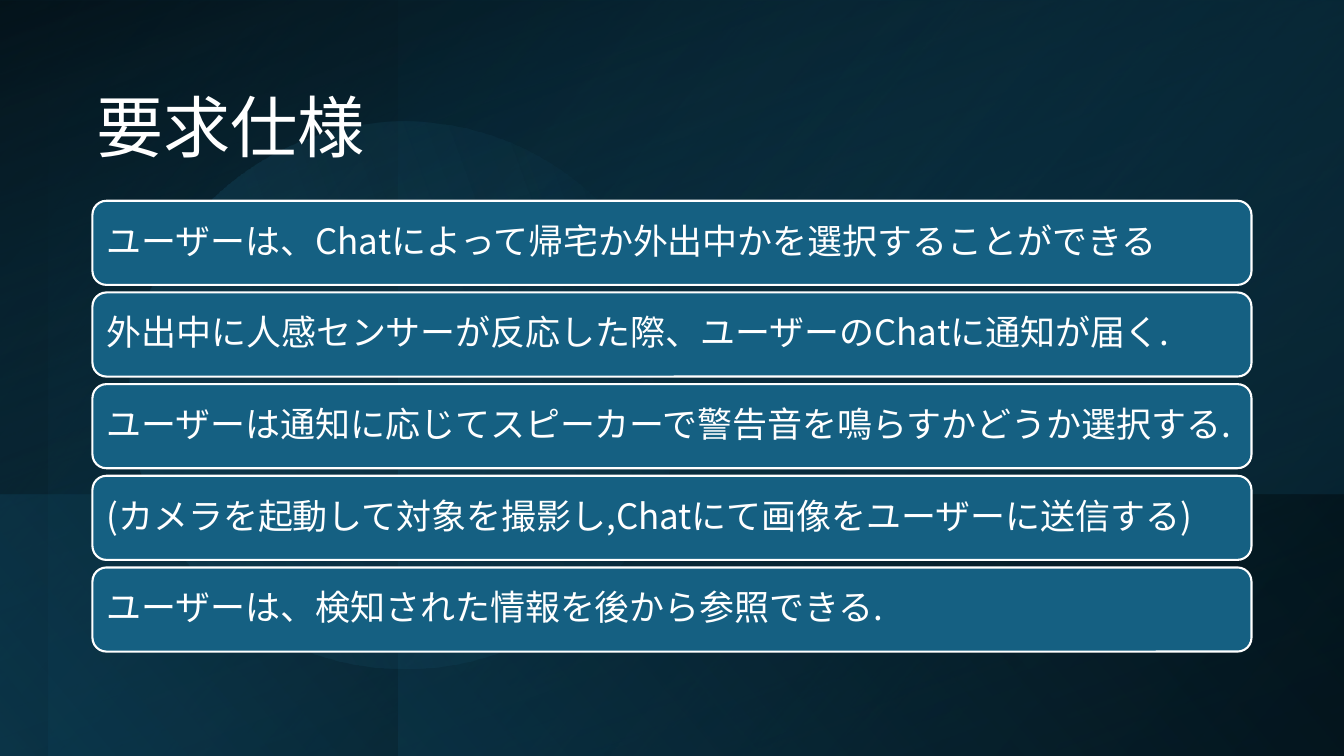
from lxml import etree
from pptx import Presentation
from pptx.dml.color import RGBColor
from pptx.enum.shapes import MSO_SHAPE
from pptx.enum.text import MSO_ANCHOR, PP_ALIGN
from pptx.oxml.ns import qn
from pptx.util import Cm, Pt

RECTANGLE = MSO_SHAPE.RECTANGLE
ELLIPSE = MSO_SHAPE.OVAL
ROUNDED = MSO_SHAPE.ROUNDED_RECTANGLE
BOTTOM = MSO_ANCHOR.BOTTOM
MIDDLE = MSO_ANCHOR.MIDDLE
LEFT = PP_ALIGN.LEFT

FONT = "Noto Sans CJK JP"
WHITE = "FFFFFF"
BLACK = "000000"
BLUE = "156082"
DEEP_BLUE = "104862"
NAVY = "0B3041"
SKY = "46B1E1"

REQUIREMENTS = [
    "ユーザーは、Chatによって帰宅か外出中かを選択することができる",
    "外出中に人感センサーが反応した際、ユーザーのChatに通知が届く.",
    "ユーザーは通知に応じてスピーカーで警告音を鳴らすかどうか選択する.",
    "(カメラを起動して対象を撮影し,Chatにて画像をユーザーに送信する)",
    "ユーザーは、検知された情報を後から参照できる.",
]
CARD_LEFT, CARD_TOP = 2.33, 5.06
CARD_WIDTH, CARD_HEIGHT = 29.21, 2.12
CARD_PITCH = 2.31


def color(value):
    return RGBColor.from_string(value)


def add_text(shape, text, size=25, anchor=MIDDLE, inset=0.25):
    frame = shape.text_frame
    frame.word_wrap = True
    frame.vertical_anchor = anchor
    frame.margin_left = frame.margin_right = Cm(inset)
    frame.margin_top = frame.margin_bottom = Cm(0.13)
    paragraph = frame.paragraphs[0]
    paragraph.alignment = LEFT
    paragraph.line_spacing = 0.9
    run = paragraph.add_run()
    run.text = text
    run.font.size = Pt(size)
    run.font.name = FONT
    run.font.color.rgb = color(WHITE)
    etree.SubElement(run.font._element, qn("a:ea"), typeface=FONT)


def add_plain_shape(slide, kind, box):
    shape = slide.shapes.add_shape(kind, *[Cm(length) for length in box])
    shape.shadow.inherit = False
    return shape


def set_gradient(shape, stops, angle):
    shape.fill.gradient()
    gradient = shape._element.spPr.find(qn("a:gradFill"))
    stop_list = gradient.find(qn("a:gsLst"))
    for stop in list(stop_list):
        stop_list.remove(stop)
    for position, value, opacity in stops:
        stop = etree.SubElement(stop_list, qn("a:gs"), pos=str(position * 1000))
        tint = etree.SubElement(stop, qn("a:srgbClr"), val=value)
        etree.SubElement(tint, qn("a:alpha"), val=str(opacity * 1000))
    gradient.find(qn("a:lin")).set("ang", str(angle * 60000))


def add_glow(slide, box, stops, angle, kind=RECTANGLE, rotation=0, flip=False):
    shape = add_plain_shape(slide, kind, box)
    shape.rotation = rotation
    if flip:
        shape._element.spPr.xfrm.set("flipH", "1")
    set_gradient(shape, stops, angle)
    shape.line.fill.background()


def add_backdrop(slide):
    add_glow(slide, (-0.03, 0, 33.96, 19.08),
             [(0, BLACK, 100), (100, DEEP_BLUE, 100)], 70, rotation=180)
    add_glow(slide, (1.22, 0, 32.69, 19.08),
             [(21, NAVY, 83), (100, BLUE, 0)], 140, rotation=180, flip=True)
    add_glow(slide, (-0.05, 0, 10.06, 19.08),
             [(0, DEEP_BLUE, 0), (99, BLACK, 41)], 220, rotation=180)
    add_glow(slide, (-0.05, 0, 33.99, 19.08),
             [(3, DEEP_BLUE, 0), (100, BLACK, 73)], 290, flip=True)
    add_glow(slide, (12.45, -2.39, 19.05, 23.88),
             [(3, DEEP_BLUE, 0), (100, BLACK, 27)], 230, rotation=90, flip=True)
    add_glow(slide, (3.3, 3.02, 13.79, 13.87),
             [(0, BLUE, 26), (85, SKY, 0)], 240, kind=ELLIPSE, rotation=99.9)
    add_glow(slide, (0, 12.47, 33.93, 6.6),
             [(0, DEEP_BLUE, 50), (99, BLACK, 34)], 220, flip=True)


def add_title(slide, text):
    box = slide.shapes.add_textbox(Cm(2.18), Cm(1.96), Cm(18.64), Cm(2.39))
    add_text(box, text, size=48, anchor=BOTTOM)


def add_card(slide, index, text):
    top = CARD_TOP + index * CARD_PITCH
    card = add_plain_shape(slide, ROUNDED, (CARD_LEFT, top, CARD_WIDTH, CARD_HEIGHT))
    card.fill.solid()
    card.fill.fore_color.rgb = color(BLUE)
    card.line.color.rgb = color(WHITE)
    card.line.width = Pt(1.5)
    add_text(card, text)


def main():
    presentation = Presentation()
    presentation.slide_width = Cm(33.87)
    presentation.slide_height = Cm(19.05)
    slide = presentation.slides.add_slide(presentation.slide_layouts[6])
    add_backdrop(slide)
    add_title(slide, "要求仕様")
    for index, requirement in enumerate(REQUIREMENTS):
        add_card(slide, index, requirement)
    presentation.save("out.pptx")


if __name__ == "__main__":
    main()
